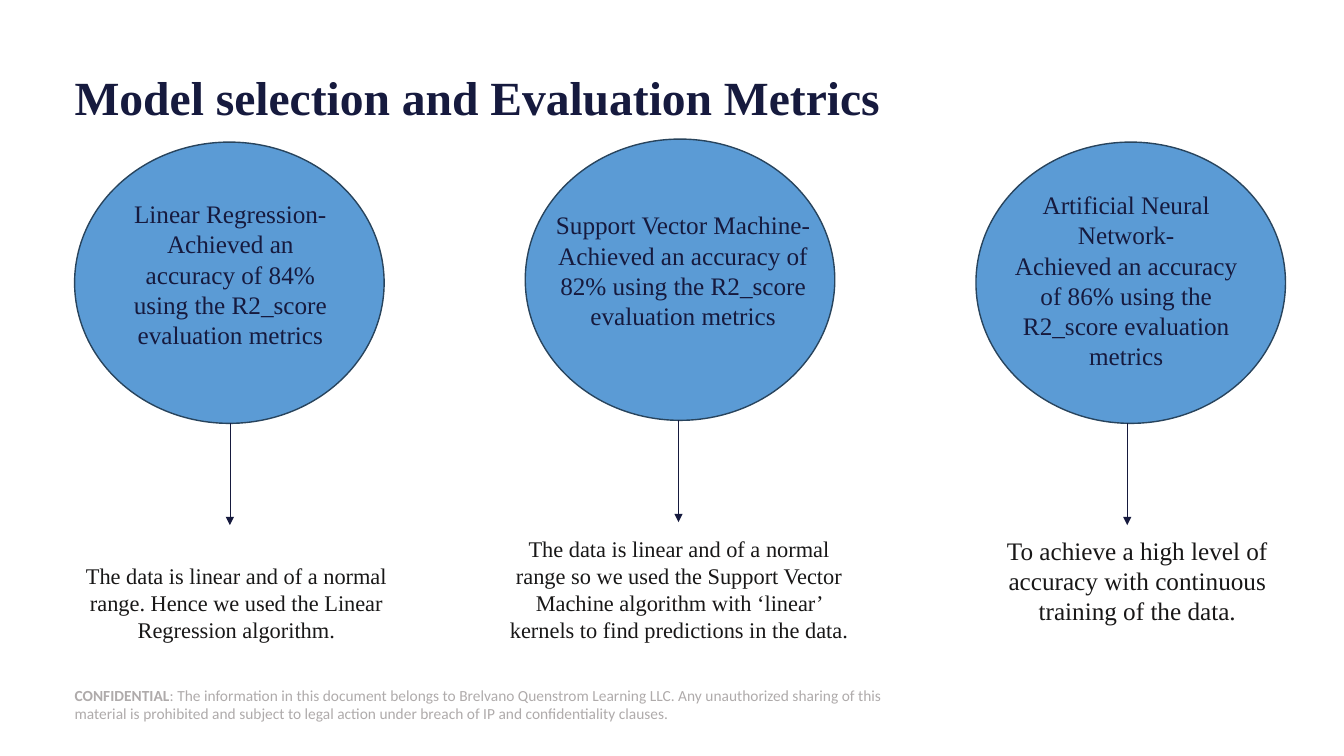
from pptx import Presentation
from pptx.dml.color import RGBColor
from pptx.enum.shapes import MSO_CONNECTOR, MSO_SHAPE
from pptx.enum.text import MSO_ANCHOR, PP_ALIGN
from pptx.oxml.ns import qn
from pptx.util import Inches, Pt
from lxml import etree

OVAL = MSO_SHAPE.OVAL
STRAIGHT = MSO_CONNECTOR.STRAIGHT
MIDDLE, TOP = MSO_ANCHOR.MIDDLE, MSO_ANCHOR.TOP
LEFT, CENTER = PP_ALIGN.LEFT, PP_ALIGN.CENTER
NAVY, BLUE, EDGE, BLACK, GREY = "161A3E", "5B9BD5", "28445D", "181717", "AFABAB"
SERIF = "Times New Roman"


def rgb(value):
    return RGBColor.from_string(value)


def write(sp, paragraphs, size, color, font=SERIF, align=CENTER, anchor=TOP, inset=None):
    """Fill a shape with paragraphs, each a list of (text, bold) runs."""
    tf = sp.text_frame
    tf.word_wrap = True
    tf.vertical_anchor = anchor
    if inset is not None:
        tf.margin_left = tf.margin_right = tf.margin_top = tf.margin_bottom = inset
    for i, runs in enumerate(paragraphs):
        p = tf.paragraphs[0] if i == 0 else tf.add_paragraph()
        p.alignment = align
        for text, bold in runs:
            r = p.add_run()
            r.text = text
            r.font.name, r.font.size, r.font.bold = font, Pt(size), bold
            r.font.color.rgb = rgb(color)


prs = Presentation()
prs.slide_width, prs.slide_height = Inches(13.33), Inches(7.5)
s = prs.slides.add_slide(prs.slide_layouts[5])

# Title
title = s.shapes.title
title.left, title.top, title.width, title.height = map(Inches, (0.74, 0.66, 11.85, 0.67))
write(title, [[("Model selection and Evaluation Metrics", True)]], 34, NAVY,
      align=LEFT, anchor=MIDDLE, inset=0)
title.text_frame.paragraphs[0].line_spacing = 0.9

# Confidentiality footer
footer = s.shapes.add_textbox(Inches(0.74), Inches(6.79), Inches(8.17), Inches(0.4))
notice = (": The information in this document belongs to Brelvano Quenstrom Learning LLC. "
          "Any unauthorized sharing of this material is prohibited and subject to legal "
          "action under breach of IP and confidentiality clauses.")
write(footer, [[("CONFIDENTIAL", True), (notice, False)]], 11, GREY,
      font="Calibri", align=LEFT, anchor=MIDDLE, inset=0)

# Models: name, accuracy, circle top, label box, reason, reason box, reason size
models = [
    ("Linear Regression-", "84%", 1.41, (1.16, 1.92, 2.25, 1.62),
     "The data is linear and of a normal range. Hence we used the Linear "
     "Regression algorithm.", (0.56, 5.53, 3.57, 1.18), 16),
    ("Support Vector Machine-", "82%", 1.38, (5.38, 2.03, 2.79, 1.62),
     "The data is linear and of a normal range so we used the Support Vector Machine "
     "algorithm with ‘linear’ kernels to find predictions in the data.",
     (4.95, 5.26, 3.57, 1.72), 16),
    ("Artificial Neural Network-", "86%", 1.41, (9.94, 1.83, 2.46, 2.22),
     "To achieve a high level of accuracy with continuous training of the data.",
     (9.82, 5.26, 2.92, 1.31), 18),
]
CIRCLE_W, CIRCLE_H, ARROW = 3.07, 2.79, 1.01

for i, (name, score, top, label_box, reason, reason_box, size) in enumerate(models):
    # Circle
    circle = s.shapes.add_shape(OVAL, Inches(0.74 + 4.47 * i), Inches(top),
                                Inches(CIRCLE_W), Inches(CIRCLE_H))
    circle.shadow.inherit = False
    circle.fill.solid()
    circle.fill.fore_color.rgb = rgb(BLUE)
    circle.line.color.rgb = rgb(EDGE)
    circle.line.width = Pt(1)

    # Model name and accuracy
    label = s.shapes.add_textbox(*map(Inches, label_box))
    result = f"Achieved an accuracy of {score} using the R2_score evaluation metrics"
    write(label, [[(name, False)], [(result, False)]], 18, NAVY)

    # Arrow down to the reason
    x, y = Inches(2.28 + 4.45 * i), top + CIRCLE_H
    arrow = s.shapes.add_connector(STRAIGHT, x, Inches(y), x, Inches(y + ARROW))
    arrow.line.color.rgb = rgb(NAVY)
    arrow.line.width = Pt(0.5)
    etree.SubElement(arrow.line._get_or_add_ln(), qn("a:tailEnd"), type="triangle")
    etree.SubElement(arrow._element.spPr, qn("a:effectLst"))

    # Reason
    note = s.shapes.add_textbox(*map(Inches, reason_box))
    write(note, [[(reason, False)]], size, BLACK)

prs.save("out.pptx")
